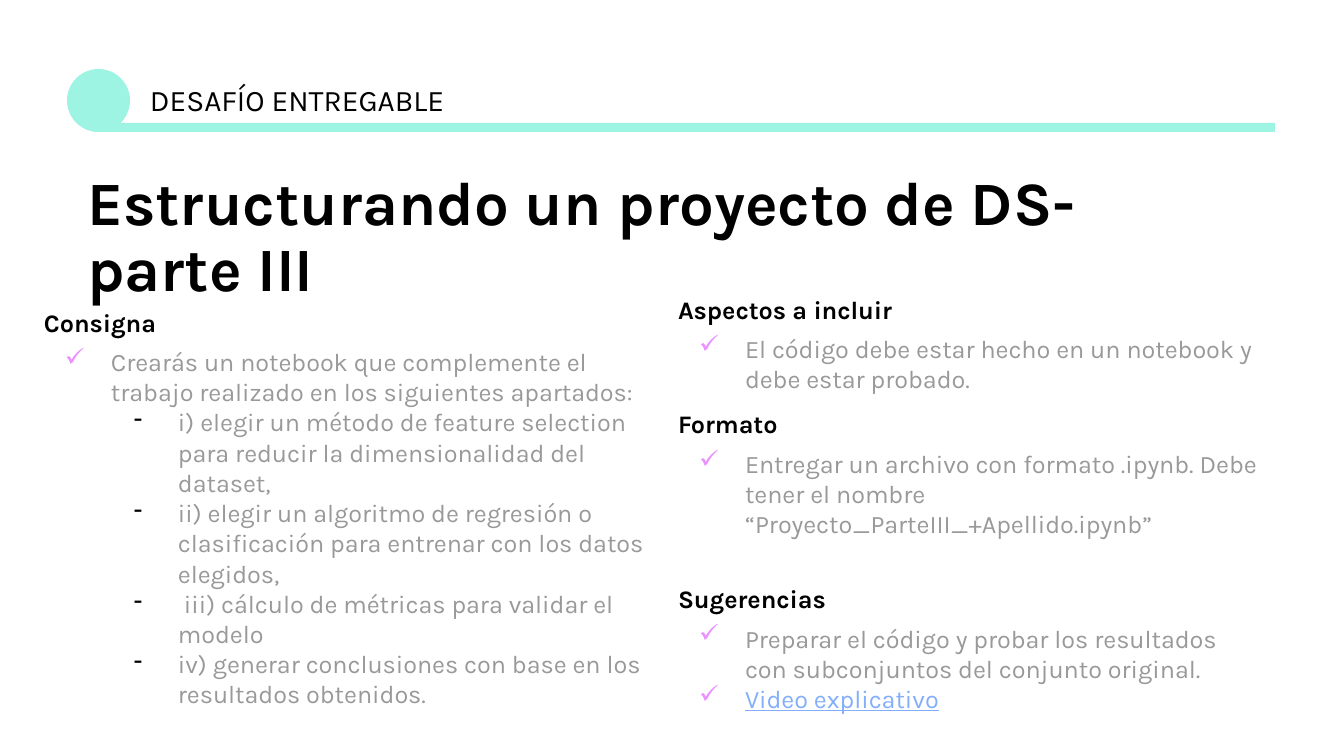
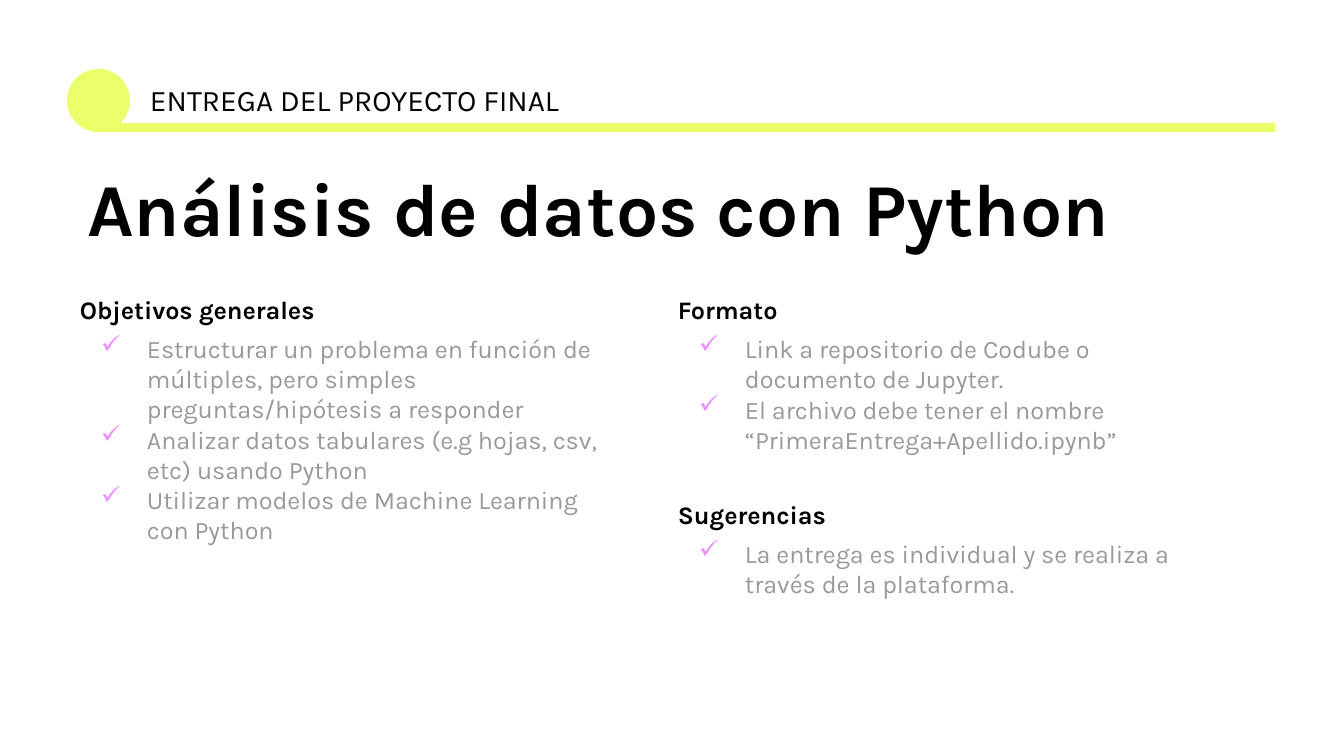
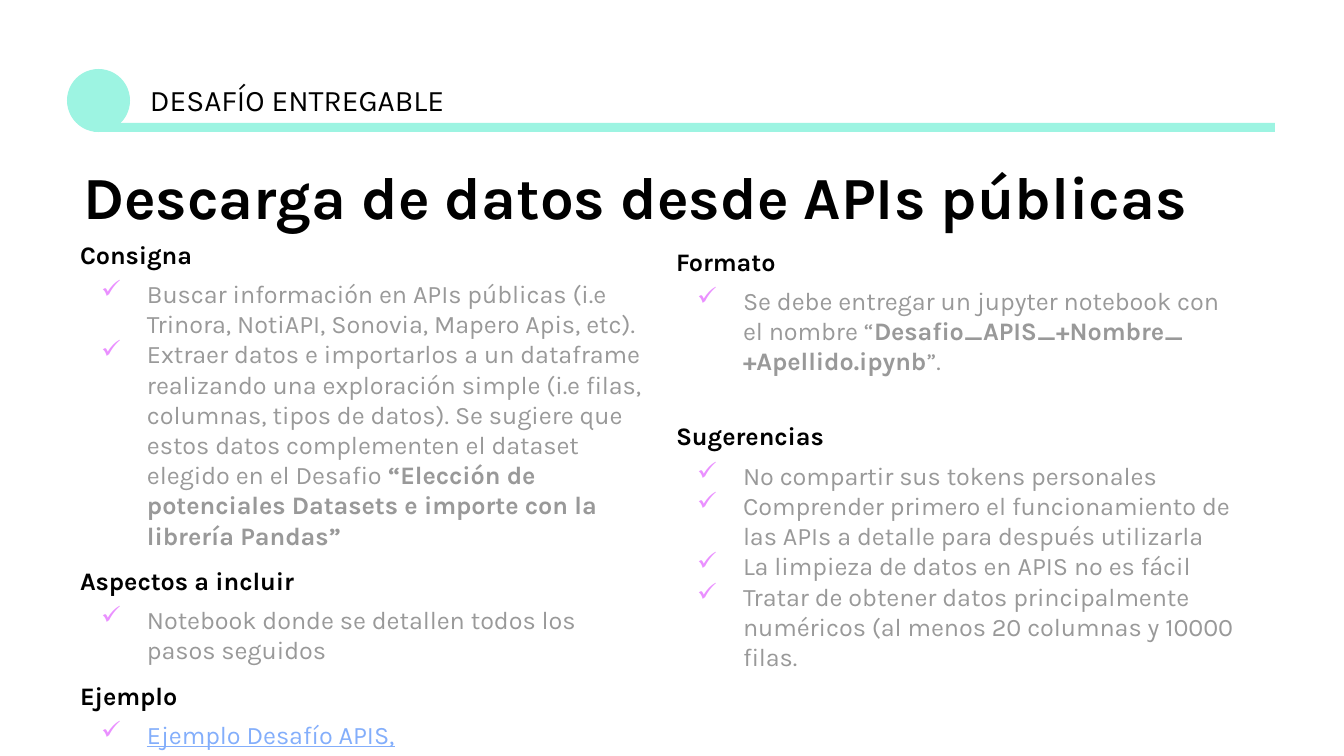
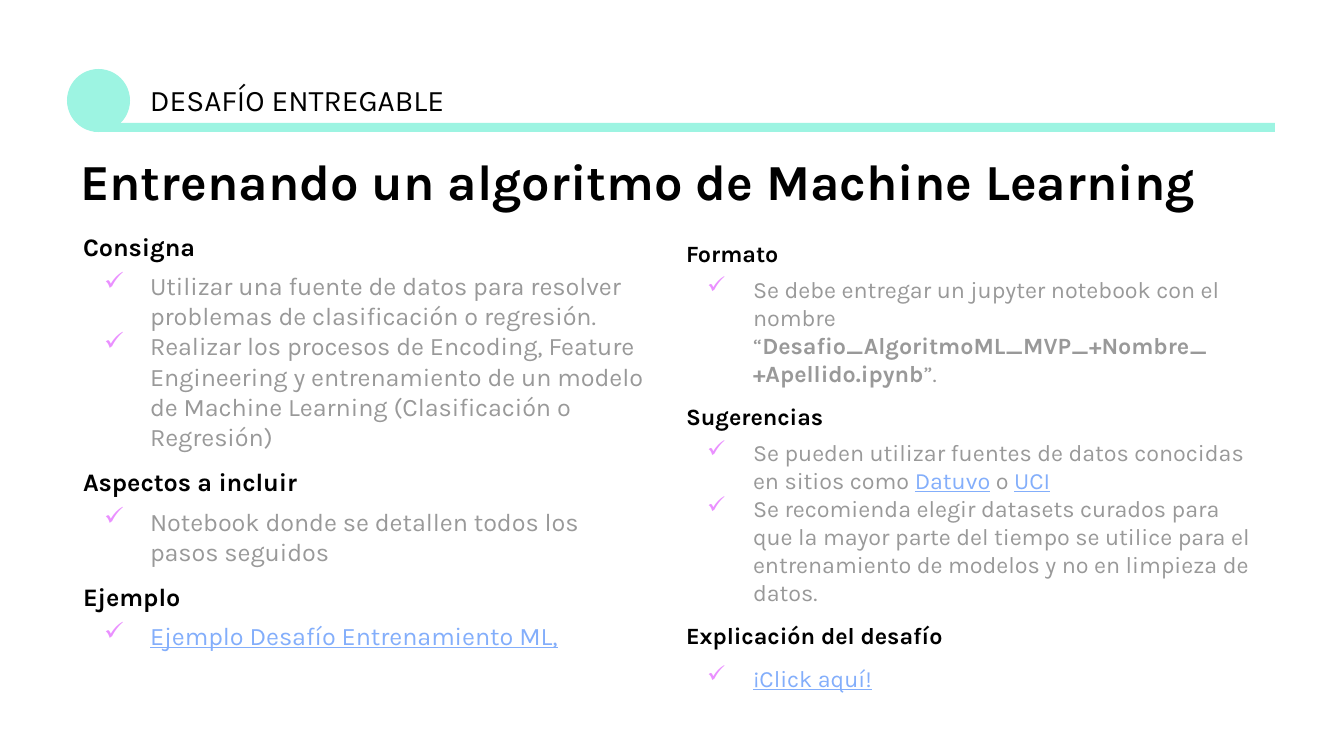
from lxml.etree import SubElement
from pptx import Presentation
from pptx.dml.color import RGBColor
from pptx.enum.shapes import MSO_SHAPE
from pptx.enum.text import MSO_ANCHOR, MSO_AUTO_SIZE, PP_ALIGN
from pptx.oxml.ns import qn
from pptx.util import Emu, Pt

# Shared look
FONT = "Karla"
BLACK, GREY, BLUE, PINK = "000000", "999999", "83AEFB", "EA90FF"
MINT, LIME = "9DF4E2", "EAFF6A"
INSET = 13

STYLES = {
    "head": {"color": BLACK, "bold": True},
    "body": {"color": GREY},
    "strong": {"color": GREY, "bold": True},
    "link": {"color": BLUE, "underline": True},
    "label": {"color": BLACK},
}
# kind: (left indent, hanging, bullet, bullet colour, level)
BULLETS = {
    "check": (67, -46, "✓", PINK, 0),
    "spaced check": (67, -46, "✓", PINK, 0),
    "dash": (134, -44, "-", BLACK, 1),
}
# Space before each kind, in points
SPACE = {"head": 8, "late head": 24, "spaced check": 8}
AFTER_HEAD = 0.36  # share of the text size, before the first item

# Content: a paragraph is (kind, run, ...); a plain run is body text
SLIDES = [
    {
        "label": "DESAFÍO ENTREGABLE", "accent": MINT,
        "title": "Estructurando un proyecto de DS-parte III",
        "title_size": 33, "title_box": (74, 159, 1074, 161),
        "columns": [
            {"box": (31, 294, 634, 462), "size": 13.5, "text": [
                ("head", "Consigna"),
                ("check", "Crearás un notebook que complemente el trabajo realizado "
                          "en los siguientes apartados:"),
                ("dash", "i) elegir un método de feature selection para reducir la "
                         "dimensionalidad del dataset,"),
                ("dash", "ii) elegir un algoritmo de regresión o clasificación para "
                         "entrenar con los datos elegidos,"),
                ("dash", " iii) cálculo de métricas para validar el modelo"),
                ("dash", "iv) generar conclusiones con base en los resultados obtenidos."),
            ]},
            {"box": (665, 281, 609, 452), "size": 13.5, "text": [
                ("head", "Aspectos a incluir"),
                ("check", "El código debe estar hecho en un notebook y debe estar probado."),
                ("head", "Formato"),
                ("check", "Entregar un archivo con formato .ipynb. Debe tener el nombre "
                          "“Proyecto_ParteIII_+Apellido.ipynb”"),
                ("late head", "Sugerencias"),
                ("check", "Preparar el código y probar los resultados con subconjuntos "
                          "del conjunto original."),
                ("check", ("link", "Video explicativo")),
            ]},
        ],
    },
    {
        "label": "ENTREGA DEL PROYECTO FINAL", "accent": LIME,
        "title": "Análisis de datos con Python",
        "title_size": 40, "title_box": (74, 159, 1074, 109),
        "columns": [
            {"box": (67, 281, 563, 327), "size": 13.5, "text": [
                ("head", "Objetivos generales"),
                ("check", "Estructurar un problema en función de múltiples, pero simples "
                          "preguntas/hipótesis a responder"),
                ("check", "Analizar datos tabulares (e.g hojas, csv, etc) usando Python"),
                ("check", "Utilizar modelos de Machine Learning con Python"),
            ]},
            {"box": (665, 281, 563, 382), "size": 13.5, "text": [
                ("head", "Formato"),
                ("check", "Link a repositorio de Codube o documento de Jupyter."),
                ("check", "El archivo debe tener el nombre "
                          "“PrimeraEntrega+Apellido.ipynb”"),
                ("late head", "Sugerencias"),
                ("check", "La entrega es individual y se realiza a través de la plataforma."),
            ]},
        ],
    },
    {
        "label": "DESAFÍO ENTREGABLE", "accent": MINT,
        "title": "Descarga de datos desde APIs públicas",
        "title_size": 32, "title_box": (70, 155, 1169, 93),
        "columns": [
            {"box": (67, 226, 593, 530), "size": 13.5, "text": [
                ("head", "Consigna"),
                ("check", "Buscar información en APIs públicas (i.e Trinora, NotiAPI, "
                          "Sonovia, Mapero Apis, etc)."),
                ("check", "Extraer datos e importarlos a un dataframe realizando una "
                          "exploración simple (i.e filas, columnas, tipos de datos). Se "
                          "sugiere que estos datos complementen el dataset elegido en el "
                          "Desafio ",
                 ("strong", "“Elección de potenciales Datasets e importe con la librería "
                            "Pandas”")),
                ("head", "Aspectos a incluir"),
                ("check", "Notebook donde se detallen todos los pasos seguidos"),
                ("head", "Ejemplo"),
                ("check", ("link", "Ejemplo Desafío APIS,")),
            ]},
            {"box": (663, 233, 593, 457), "size": 13.5, "text": [
                ("head", "Formato"),
                ("check", "Se debe entregar un jupyter notebook con el nombre “",
                 ("strong", "Desafio_APIS_+Nombre_ +Apellido.ipynb"), "”."),
                ("late head", "Sugerencias"),
                ("check", "No compartir sus tokens personales"),
                ("check", "Comprender primero el funcionamiento de las APIs a detalle "
                          "para después utilizarla"),
                ("check", "La limpieza de datos en APIS no es fácil"),
                ("check", "Tratar de obtener datos principalmente numéricos (al menos 20 "
                          "columnas y 10000 filas."),
            ]},
        ],
    },
    {
        "label": "DESAFÍO ENTREGABLE", "accent": MINT,
        "title": "Entrenando un algoritmo de Machine Learning",
        "title_size": 27, "title_box": (67, 144, 1169, 82),
        "columns": [
            {"box": (70, 218, 593, 452), "size": 13.5, "text": [
                ("head", "Consigna"),
                ("check", "Utilizar una fuente de datos para resolver problemas de "
                          "clasificación o regresión."),
                ("check", "Realizar los procesos de Encoding, Feature Engineering y "
                          "entrenamiento de un modelo de Machine Learning (Clasificación "
                          "o Regresión)"),
                ("head", "Aspectos a incluir"),
                ("check", "Notebook donde se detallen todos los pasos seguidos"),
                ("head", "Ejemplo"),
                ("check", ("link", "Ejemplo Desafío Entrenamiento ML,")),
            ]},
            {"box": (673, 226, 593, 485), "size": 12.5, "text": [
                ("head", "Formato"),
                ("check", "Se debe entregar un jupyter notebook con el nombre “",
                 ("strong", "Desafio_AlgoritmoML_MVP_+Nombre_ +Apellido.ipynb"), "”."),
                ("head", "Sugerencias"),
                ("check", "Se pueden utilizar fuentes de datos conocidas en sitios como ",
                 ("link", "Datuvo"), " o ", ("link", "UCI")),
                ("check", "Se recomienda elegir datasets curados para que la mayor parte "
                          "del tiempo se utilice para el entrenamiento de modelos y no en "
                          "limpieza de datos."),
                ("head", "Explicación del desafío"),
                ("spaced check", ("link", "¡Click aquí!")),
            ]},
        ],
    },
]


def px(n):
    return Emu(round(n * 914400 / 134.4))


def rgb(color):
    return RGBColor.from_string(color)


def add_run(p, text, style, size):
    r = p.add_run()
    r.text = text
    fmt = {"name": FONT, "size": Pt(size), "bold": False, **STYLES[style]}
    r.font.color.rgb = rgb(fmt.pop("color"))
    for key, value in fmt.items():
        setattr(r.font, key, value)


def set_frame(tf):
    fmt = {"word_wrap": True, "auto_size": MSO_AUTO_SIZE.NONE,
           "vertical_anchor": MSO_ANCHOR.TOP}
    fmt.update({f"margin_{side}": px(INSET) for side in ("left", "top", "right", "bottom")})
    for key, value in fmt.items():
        setattr(tf, key, value)


def add_text_box(s, box):
    tf = s.shapes.add_textbox(*map(px, box)).text_frame
    set_frame(tf)
    return tf


def add_bullet(p, left, hanging, char, color, level):
    p.level = level
    pPr = p._p.get_or_add_pPr()
    pPr.set("marL", str(px(left)))
    pPr.set("indent", str(px(hanging)))
    clr = SubElement(pPr, qn("a:buClr"))
    SubElement(clr, qn("a:srgbClr"), val=color)
    SubElement(pPr, qn("a:buChar"), char=char)


def add_column(s, box, size, text):
    tf = add_text_box(s, box)
    previous = None
    for kind, *runs in text:
        p = tf.add_paragraph() if previous else tf.paragraphs[0]
        is_head = kind.endswith("head")
        if kind in BULLETS:
            add_bullet(p, *BULLETS[kind])
        if previous:
            after_head = AFTER_HEAD * size if previous.endswith("head") else 0
            p.space_before = Pt(round(SPACE.get(kind, after_head), 1))
        for run in runs:
            style, words = run if isinstance(run, tuple) else ("body", run)
            add_run(p, words, "head" if is_head else style, size)
        previous = kind


def add_accent(s, preset, box, color):
    sp = s.shapes.add_shape(preset, *map(px, box))
    sp.shadow.inherit = False
    sp.fill.solid()
    sp.fill.fore_color.rgb = rgb(color)
    sp.line.fill.background()


def add_band(s, label, color):
    add_accent(s, MSO_SHAPE.OVAL, (67, 69, 63, 63), color)
    add_accent(s, MSO_SHAPE.RECTANGLE, (94, 123, 1181, 9), color)
    tf = add_text_box(s, (137, 69, 470, 63))
    add_run(tf.paragraphs[0], label, "label", 16)


def set_title(s, text, size, box):
    sp = s.shapes.title
    sp.left, sp.top, sp.width, sp.height = map(px, box)
    set_frame(sp.text_frame)
    p = sp.text_frame.paragraphs[0]
    p.alignment = PP_ALIGN.LEFT
    p.line_spacing = 0.9
    add_run(p, text, "head", size)


def main():
    prs = Presentation()
    prs.slide_width, prs.slide_height = px(1344), px(756)
    for page in SLIDES:
        s = prs.slides.add_slide(prs.slide_layouts[5])
        set_title(s, page["title"], page["title_size"], page["title_box"])
        add_band(s, page["label"], page["accent"])
        for column in page["columns"]:
            add_column(s, **column)
    prs.save("out.pptx")


if __name__ == "__main__":
    main()
